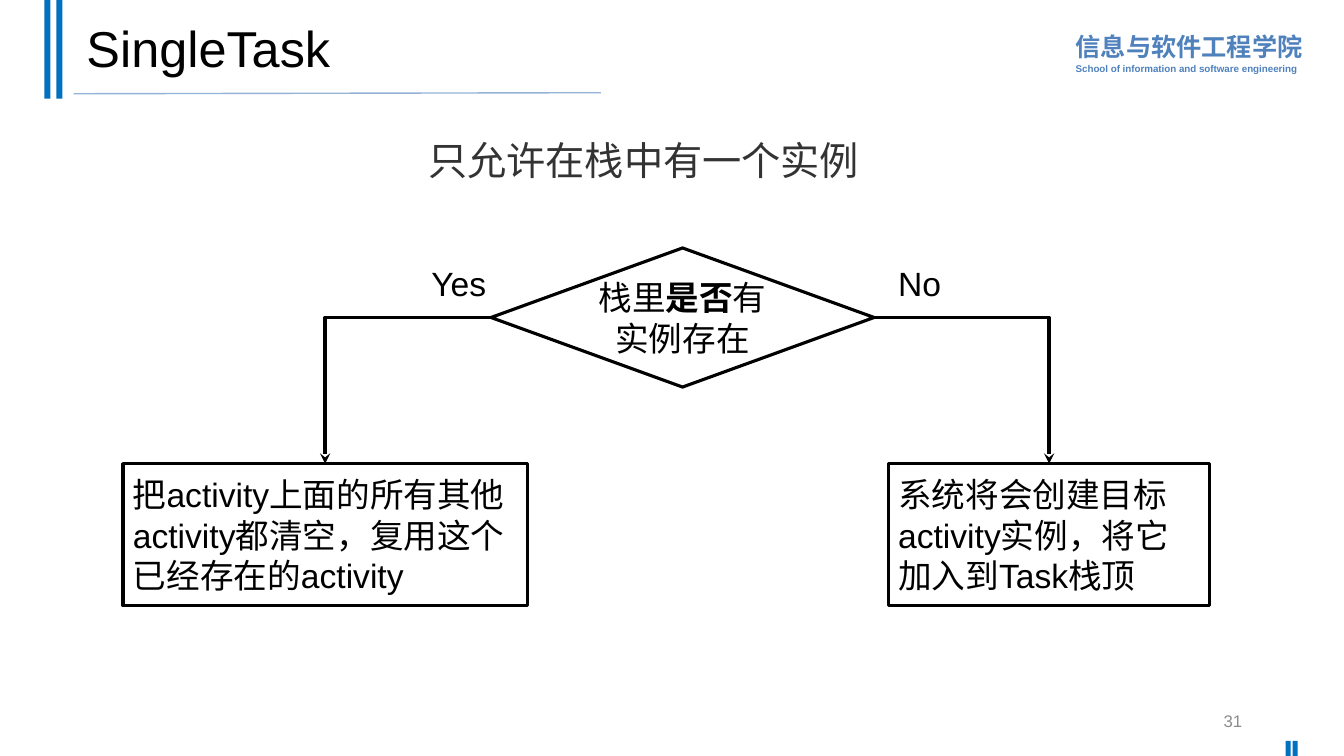
from lxml.etree import SubElement
from pptx import Presentation
from pptx.dml.color import RGBColor
from pptx.enum.shapes import MSO_CONNECTOR, MSO_SHAPE
from pptx.enum.text import MSO_ANCHOR, PP_ALIGN
from pptx.oxml.ns import qn
from pptx.util import Inches, Pt

BLACK = RGBColor(0, 0, 0)
DARK = RGBColor(0x33, 0x33, 0x33)
GRAY = RGBColor(0x8C, 0x8C, 0x8C)
BLUE = RGBColor(0x00, 0x70, 0xC0)
SOFT = RGBColor(0x4F, 0x81, 0xBD)
PALE = RGBColor(0x95, 0xB3, 0xD7)
LEFT, TOP, RIGHT = 1, 0, 3

# Each paragraph is a list of (text, bold) runs.
SCHOOL = [("信息与软件工程学院", 18), ("School of information and software engineering", 7)]
TITLE = "SingleTask"
LEAD = "只允许在栈中有一个实例"
PAGE = "31"
QUERY = [("栈里", False), ("是否", True), ("有实例存在", False)]
QUERY_BOX = (4.87, 2.46, 3.8, 1.38)
# label, label box, result text, result box, side of the diamond
PATHS = [
    ("Yes", (3.99, 2.52, 1.12, 0.48),
     "把activity上面的所有其他activity都清空，复用这个已经存在的activity",
     (1.22, 4.6, 4.01, 1.41), LEFT),
    ("No", (8.69, 2.52, 0.86, 0.48),
     "系统将会创建目标activity实例，将它加入到Task栈顶",
     (8.81, 4.6, 3.19, 1.41), RIGHT),
]
# left, top, width, height, gap between the two bars
BARS = [(0.44, 0, 0.06, 0.98, 0.12), (12.75, 7.35, 0.05, 0.15, 0.07)]

deck = Presentation()
deck.slide_width, deck.slide_height = Inches(13.33), Inches(7.5)
slide = deck.slides.add_slide(deck.slide_layouts[6])
shapes = slide.shapes


def write(shape, *paras, size=24, color=BLACK, bold=False, align=PP_ALIGN.LEFT,
          anchor=MSO_ANCHOR.MIDDLE, space=None, wrap=True):
    """Fill a shape with paragraphs, each a string, a (text, size) pair or a list of runs."""
    frame = shape.text_frame
    frame.word_wrap = wrap
    frame.vertical_anchor = anchor
    for i, para in enumerate(paras):
        line = frame.add_paragraph() if i else frame.paragraphs[0]
        line.alignment = align
        line.line_spacing = space
        points = size
        if isinstance(para, tuple):
            para, points = para
        runs = [(para, bold)] if isinstance(para, str) else para
        for text, heavy in runs:
            run = line.add_run()
            run.text = text
            font = run.font
            font.name, font.size, font.bold = "Arial", Pt(points), heavy
            font.color.rgb = color


def label(box, *paras, **look):
    write(shapes.add_textbox(*map(Inches, box)), *paras, **look)


def block(kind, box, fill=None):
    """Add a solid shape without outline, or a hollow one with a black outline."""
    shape = shapes.add_shape(kind, *map(Inches, box))
    shape.shadow.inherit = False
    if fill is None:
        shape.fill.background()
        shape.line.color.rgb = BLACK
        shape.line.width = Pt(2.25)
    else:
        shape.fill.solid()
        shape.fill.fore_color.rgb = fill
        shape.line.fill.background()
    return shape


def link(kind, start, end, color, width):
    line = shapes.add_connector(kind, *map(Inches, start + end))
    line.line.color.rgb = color
    line.line.width = Pt(width)
    SubElement(line._element.spPr, qn("a:effectLst"))
    return line


# Frame of the page
for x, y, w, h, gap in BARS:
    for n in range(2):
        block(MSO_SHAPE.RECTANGLE, (x + n * gap, y, w, h), fill=BLUE)
link(MSO_CONNECTOR.STRAIGHT, (0.73, 0.93), (5.96, 0.92), PALE, 1)
label((10.57, 0.23, 2.45, 0.56), *SCHOOL, color=SOFT, bold=True,
      anchor=MSO_ANCHOR.TOP, space=1.1)
label((0.76, 0.07, 11.5, 0.88), TITLE, size=36, space=0.9)
label((9.42, 6.95, 3, 0.4), PAGE, size=12, color=GRAY, align=PP_ALIGN.RIGHT)
label((4.15, 1.3, 4.52, 0.57), LEAD, size=28, color=DARK,
      anchor=MSO_ANCHOR.TOP, wrap=False)

# Flow chart
query = block(MSO_SHAPE.FLOWCHART_DECISION, QUERY_BOX)
write(query, QUERY, align=PP_ALIGN.CENTER)
qx, qy, qw, qh = QUERY_BOX
for name, spot, text, box, side in PATHS:
    label(spot, name, align=PP_ALIGN.CENTER, anchor=MSO_ANCHOR.TOP, space=1.1)
    result = block(MSO_SHAPE.RECTANGLE, box)
    write(result, text)
    start = (qx if side == LEFT else qx + qw, qy + qh / 2)
    end = (box[0] + box[2] / 2, box[1])
    arrow = link(MSO_CONNECTOR.ELBOW, start, end, BLACK, 2.5)
    arrow.begin_connect(query, side)
    arrow.end_connect(result, TOP)
    arrow._element.spPr.find(qn("a:prstGeom")).set("prst", "bentConnector2")
    SubElement(arrow.line._get_or_add_ln(), qn("a:tailEnd"), type="stealth")

deck.save("out.pptx")
